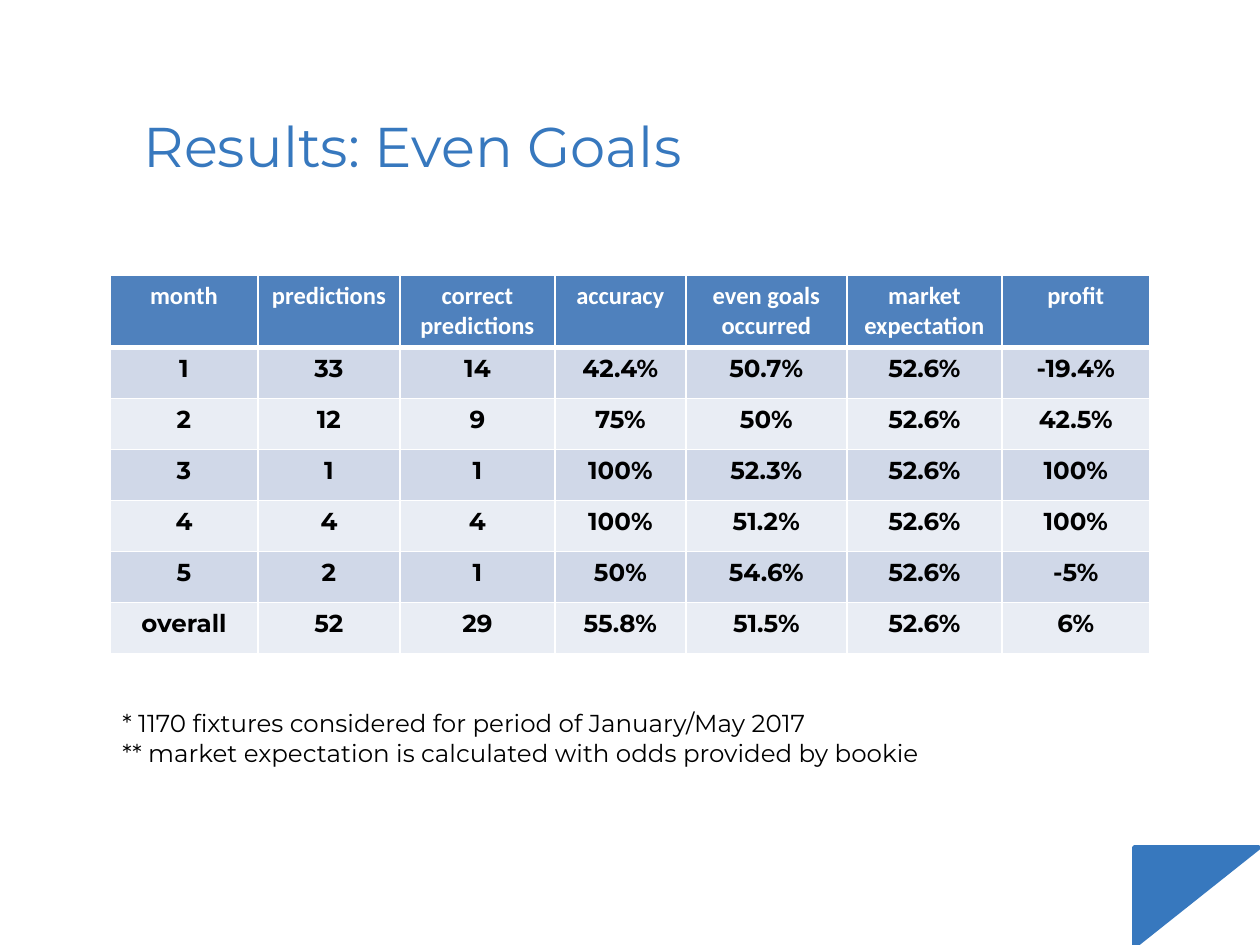
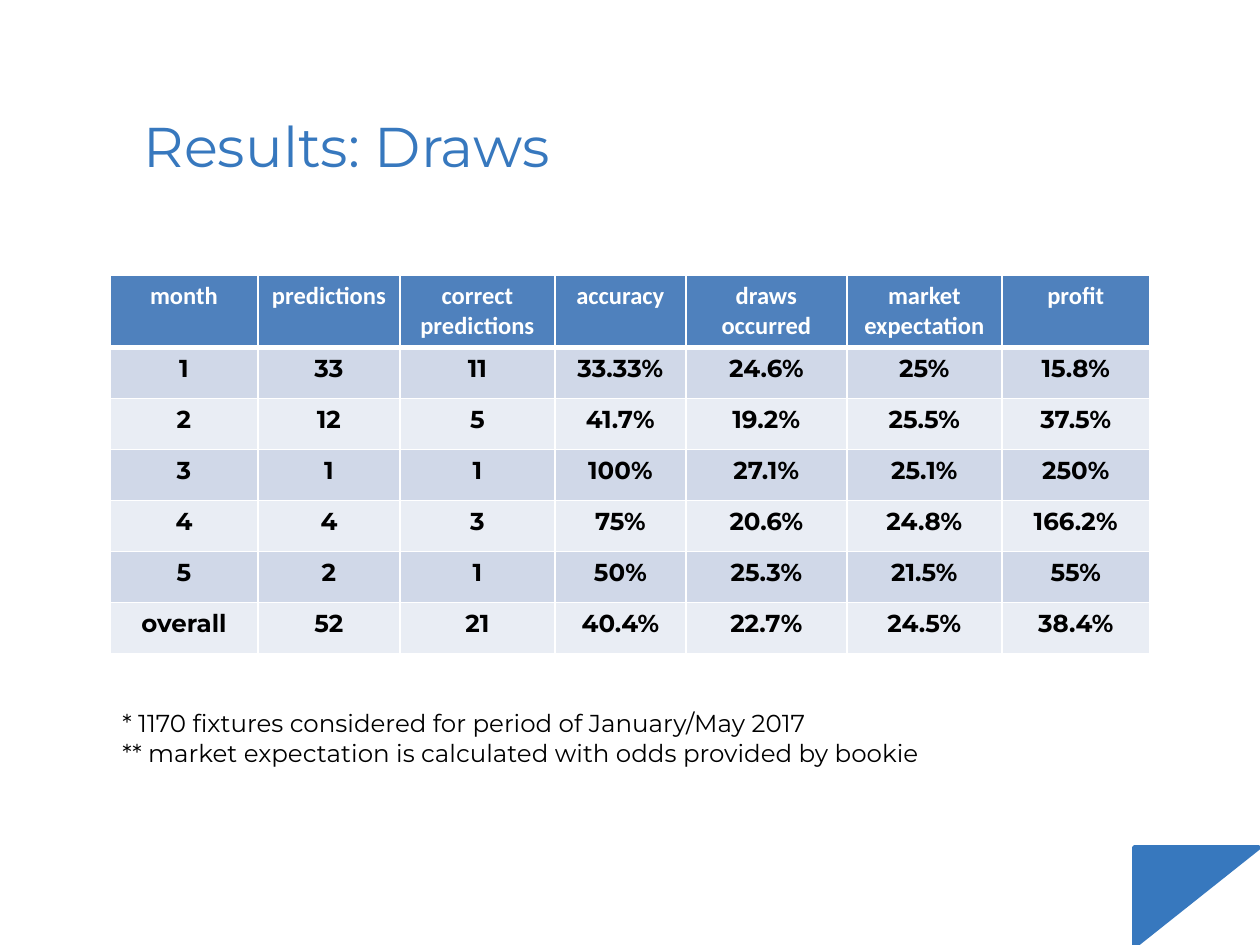
"""Builds two slides of monthly betting results, each with a table and notes."""
from lxml import etree
from pptx import Presentation
from pptx.dml.color import RGBColor
from pptx.enum.text import MSO_ANCHOR, MSO_AUTO_SIZE, PP_ALIGN
from pptx.oxml.ns import qn
from pptx.util import Pt

LEFT, CENTER = PP_ALIGN.LEFT, PP_ALIGN.CENTER
TOP = MSO_ANCHOR.TOP
FIXED = MSO_AUTO_SIZE.NONE
SCALE = 914400 / 126
TITLE_ONLY = 5
COLORS = {"brand": "3778BE", "head": "4F81BD", "odd": "D0D8E8",
          "even": "E9EDF4", "white": "FFFFFF", "black": "000000"}
BODY, HEAD = "Montserrat", "Calibri"
WIDTHS = [148, 142, 155, 131, 161, 155, 148]
HEAD_ROW, BODY_ROW = 70, 51
NOTES = ("* 1170 fixtures considered for period of January/May 2017\n"
         "** market expectation is calculated with odds provided by bookie")
MONTHS = ["1", "2", "3", "4", "5", "overall"]
COUNTS = ["33", "12", "1", "4", "2", "52"]


def px(value):
    return round(value * SCALE)


def color(name):
    return RGBColor.from_string(COLORS[name])


class Deck:
    def __init__(self):
        self.prs = Presentation()
        self.prs.slide_width, self.prs.slide_height = px(1260), px(945)
        self.slide = None

    def style(self, frame, size, font, tint, bold=False, align=LEFT):
        for para in frame.paragraphs:
            para.alignment = align
            for run in para.runs:
                run.font.size = Pt(size)
                run.font.name = font
                run.font.bold = bold
                run.font.color.rgb = color(tint)

    def place(self, shape, box):
        shape.left, shape.top, shape.width, shape.height = map(px, box)

    def title(self, text):
        self.slide = self.prs.slides.add_slide(self.prs.slide_layouts[TITLE_ONLY])
        shape = self.slide.shapes.title
        self.place(shape, (131, 105, 998, 81))
        frame = shape.text_frame
        frame.text = text
        frame.auto_size = FIXED
        frame.vertical_anchor = TOP
        self.style(frame, 32, BODY, "brand")

    def corner(self):
        pen = self.slide.shapes.build_freeform(1134, 847, scale=SCALE)
        pen.add_line_segments([(1259, 847), (1259, 848), (1137, 945), (1134, 945)])
        shape = pen.convert_to_shape()
        shape.shadow.inherit = False
        shape.fill.solid()
        shape.fill.fore_color.rgb = color("brand")
        shape.line.color.rgb = color("brand")
        shape.line.width = Pt(2)

    def border(self, cell, sides):
        props = cell._tc.get_or_add_tcPr()
        for side, width in sides.items():
            line = etree.SubElement(props, qn(f"a:ln{side}"), w=str(Pt(width)))
            fill = etree.SubElement(line, qn("a:solidFill"))
            etree.SubElement(fill, qn("a:srgbClr"), val=COLORS["white"])

    def cell(self, cell, text, row):
        cell.text_frame.text = text
        self.border(cell, {"L": 1, "R": 1, "T": 3 if row == 1 else 1,
                           "B": 3 if row == 0 else 1})
        cell.fill.solid()
        shade = "head" if row == 0 else "odd" if row % 2 else "even"
        cell.fill.fore_color.rgb = color(shade)
        font, tint = (BODY, "black") if row else (HEAD, "white")
        self.style(cell.text_frame, 14, font, tint, True, CENTER)

    def table(self, rows):
        high = HEAD_ROW + BODY_ROW * (len(rows) - 1)
        box = map(px, (110, 275, sum(WIDTHS), high))
        table = self.slide.shapes.add_table(len(rows), len(WIDTHS), *box).table
        for col, width in zip(table.columns, WIDTHS):
            col.width = px(width)
        for i, row in enumerate(rows):
            table.rows[i].height = px(BODY_ROW if i else HEAD_ROW)
            for j, text in enumerate(row):
                self.cell(table.cell(i, j), text, i)

    def notes(self, text):
        shape = self.slide.shapes.add_textbox(*map(px, (110, 702, 1026, 72)))
        frame = shape.text_frame
        frame.word_wrap = True
        frame.text = text
        self.style(frame, 14, BODY, "black")


RESULTS = [
    ("Even Goals", [
        ["14", "42.4%", "50.7%", "52.6%", "-19.4%"],
        ["9", "75%", "50%", "52.6%", "42.5%"],
        ["1", "100%", "52.3%", "52.6%", "100%"],
        ["4", "100%", "51.2%", "52.6%", "100%"],
        ["1", "50%", "54.6%", "52.6%", "-5%"],
        ["29", "55.8%", "51.5%", "52.6%", "6%"]]),
    ("Draws", [
        ["11", "33.33%", "24.6%", "25%", "15.8%"],
        ["5", "41.7%", "19.2%", "25.5%", "37.5%"],
        ["1", "100%", "27.1%", "25.1%", "250%"],
        ["3", "75%", "20.6%", "24.8%", "166.2%"],
        ["1", "50%", "25.3%", "21.5%", "55%"],
        ["21", "40.4%", "22.7%", "24.5%", "38.4%"]]),
]


def main():
    deck = Deck()
    for name, stats in RESULTS:
        head = ["month", "predictions", "correct\npredictions", "accuracy",
                f"{name.lower()} occurred", "market expectation", "profit"]
        body = [[month, count, *row]
                for month, count, row in zip(MONTHS, COUNTS, stats)]
        deck.title(f"Results: {name}")
        deck.corner()
        deck.table([head, *body])
        deck.notes(NOTES)
    deck.prs.save("out.pptx")


if __name__ == "__main__":
    main()
